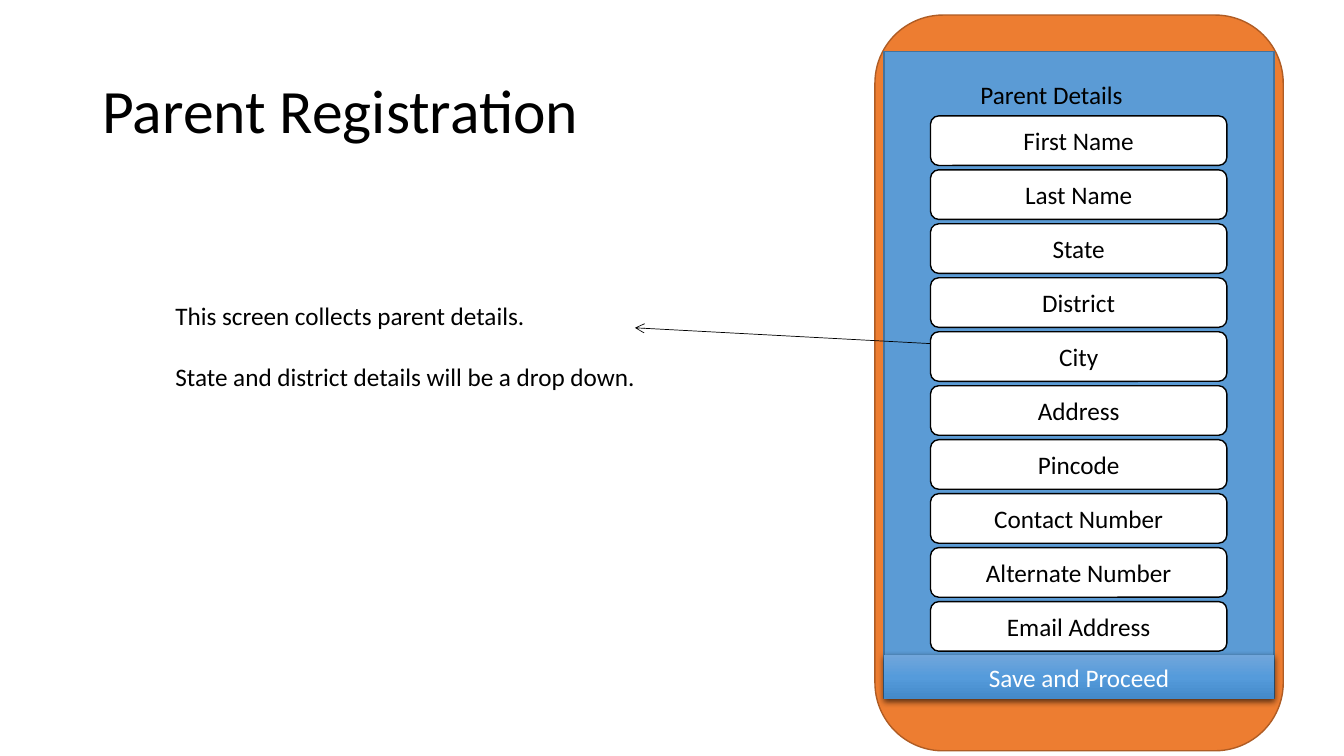
"""Build the Parent Registration screen slide."""
import copy

import pptx
import pptx.dml.color
import pptx.enum.shapes
import pptx.enum.text
import pptx.oxml
import pptx.oxml.ns
import pptx.util

Cm = pptx.util.Cm
Pt = pptx.util.Pt
RGBColor = pptx.dml.color.RGBColor
SHAPE = pptx.enum.shapes.MSO_SHAPE
ANCHOR = pptx.enum.text.MSO_ANCHOR
ALIGN = pptx.enum.text.PP_ALIGN
qn = pptx.oxml.ns.qn

TITLE = "Parent Registration"
NOTES = ["This screen collects parent details.",
         "State and district details will be a drop down."]
HEADING = "Parent Details"
FIELDS = ["First Name", "Last Name", "State", "District", "City", "Address",
          "Pincode", "Contact Number", "Alternate Number", "Email Address"]
BUTTON = "Save and Proceed"

BLACK = RGBColor(0x00, 0x00, 0x00)
WHITE = RGBColor(0xFF, 0xFF, 0xFF)
ORANGE = RGBColor(0xED, 0x7D, 0x31)
ORANGE_EDGE = RGBColor(0xAF, 0x5C, 0x24)
BLUE = RGBColor(0x5B, 0x9B, 0xD5)
BLUE_EDGE = RGBColor(0x43, 0x73, 0x9E)
BUTTON_STOPS = [(0, RGBColor(0x71, 0xA6, 0xDB)),
                (0.5, RGBColor(0x55, 0x9B, 0xDB)),
                (1, RGBColor(0x44, 0x8A, 0xCA))]

SCREEN_LEFT, SCREEN_WIDTH = 22.28, 9.83
FIELD_LEFT, FIELD_TOP, FIELD_PITCH = 23.45, 2.92, 1.36
FIELD_WIDTH, FIELD_HEIGHT = 7.47, 1.25

A_NS = 'xmlns:a="http://schemas.openxmlformats.org/drawingml/2006/main"'
SHADOW = (f'<a:outerShdw {A_NS} blurRad="57150" dist="19050" dir="5400000" '
          'algn="ctr" rotWithShape="0"><a:srgbClr val="000000">'
          '<a:alpha val="63000"/></a:srgbClr></a:outerShdw>')


def write(sp, lines, size=18, color=BLACK, align=ALIGN.LEFT,
          anchor=ANCHOR.TOP, spacing=1.0, gap=0):
    tf = sp.text_frame
    tf.word_wrap = True
    tf.vertical_anchor = anchor
    for i, line in enumerate(lines):
        p = tf.paragraphs[0] if i == 0 else tf.add_paragraph()
        p.alignment = align
        p.line_spacing = spacing
        p.space_before = Pt(gap if i else 0)
        r = p.add_run()
        r.text = line
        r.font.name = "Calibri"
        r.font.size = Pt(size)
        r.font.color.rgb = color


def add_text(s, box, lines, **fmt):
    write(s.shapes.add_textbox(*map(Cm, box)), lines, **fmt)


def add_box(s, kind, box, fill=None, edge=None):
    sp = s.shapes.add_shape(kind, *map(Cm, box))
    sp.shadow.inherit = False
    if fill is not None:
        sp.fill.solid()
        sp.fill.fore_color.rgb = fill
    if edge is None:
        sp.line.fill.background()
    else:
        sp.line.color.rgb = edge
        sp.line.width = Pt(1)
    return sp


def add_arrow(s, start, end):
    cxn = s.shapes.add_connector(pptx.enum.shapes.MSO_CONNECTOR.STRAIGHT,
                                 *map(Cm, start + end))
    cxn.line.color.rgb = BLACK
    cxn.line.width = Pt(0.5)
    cxn.line._get_or_add_ln().append(
        pptx.oxml.parse_xml(f'<a:tailEnd {A_NS} type="arrow"/>'))
    cxn._element.spPr.append(pptx.oxml.parse_xml(f'<a:effectLst {A_NS}/>'))


def add_button(s, box):
    sp = add_box(s, SHAPE.RECTANGLE, box)
    sp.fill.gradient()
    sp.fill.gradient_angle = 270
    stops = sp._element.spPr.find(".//" + qn("a:gsLst"))
    stops.append(copy.deepcopy(stops[-1]))
    for stop, (position, color) in zip(sp.fill.gradient_stops, BUTTON_STOPS):
        stop.position = position
        stop.color.rgb = color
    sp._element.spPr.find(qn("a:effectLst")).append(
        pptx.oxml.parse_xml(SHADOW))
    write(sp, [BUTTON], color=WHITE, align=ALIGN.CENTER, anchor=ANCHOR.MIDDLE)


def main():
    prs = pptx.Presentation()
    prs.slide_width, prs.slide_height = Cm(33.87), Cm(19.05)
    s = prs.slides.add_slide(prs.slide_layouts[6])

    add_text(s, (2.33, 1.01, 29.21, 3.68), [TITLE], size=44,
             anchor=ANCHOR.MIDDLE, spacing=0.9)
    add_box(s, SHAPE.ROUNDED_RECTANGLE, (22.05, 0.38, 10.29, 18.54),
            ORANGE, ORANGE_EDGE)
    add_box(s, SHAPE.RECTANGLE, (SCREEN_LEFT, 1.3, SCREEN_WIDTH, 16.31),
            BLUE, BLUE_EDGE)
    add_text(s, (4.17, 7.44, 12.75, 2.57), NOTES, gap=22)
    add_arrow(s, (24.41, 8.71), (16, 8.26))
    add_text(s, (24.46, 1.88, 6.45, 1.02), [HEADING])
    add_button(s, (SCREEN_LEFT, 16.51, SCREEN_WIDTH, 1.1))
    for i, field in enumerate(FIELDS):
        top = FIELD_TOP + i * FIELD_PITCH
        sp = add_box(s, SHAPE.ROUNDED_RECTANGLE,
                     (FIELD_LEFT, top, FIELD_WIDTH, FIELD_HEIGHT),
                     WHITE, BLACK)
        write(sp, [field], align=ALIGN.CENTER, anchor=ANCHOR.MIDDLE)

    prs.save("out.pptx")


if __name__ == "__main__":
    main()
